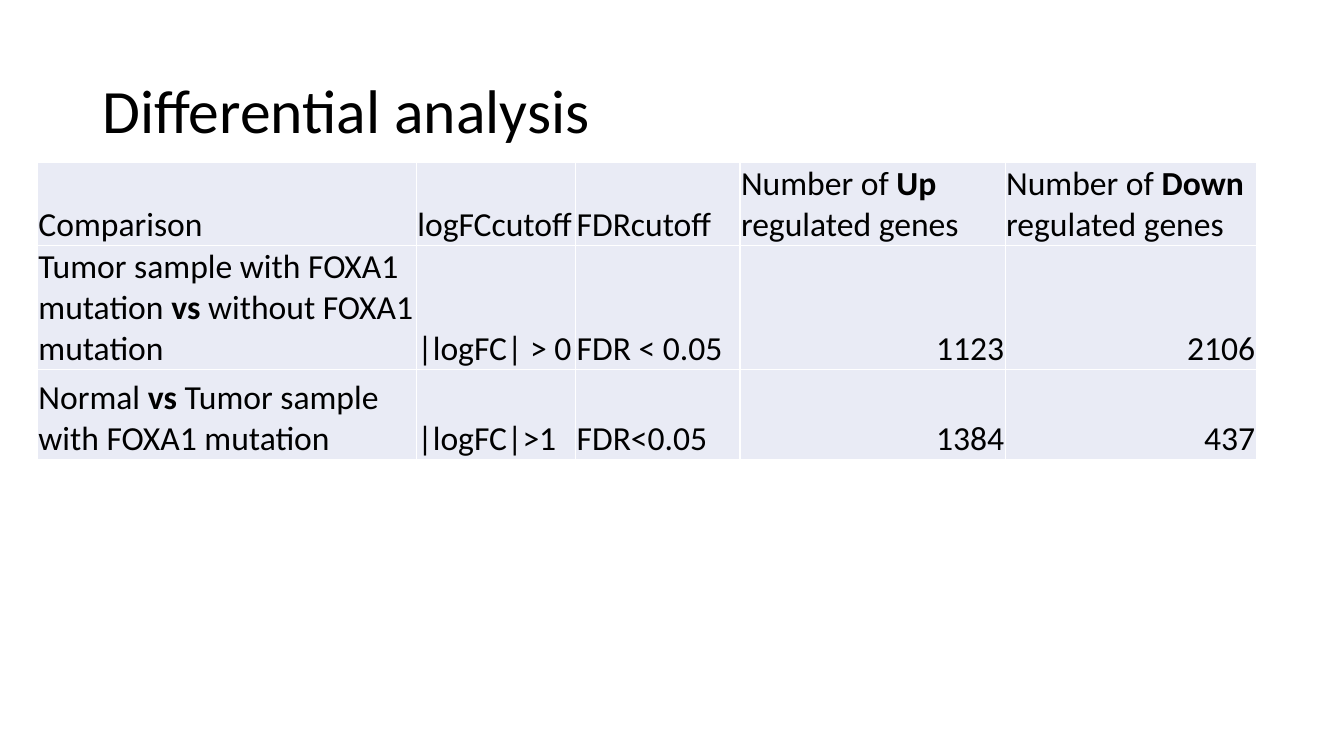
from dataclasses import dataclass

from lxml import etree
from pptx import Presentation
from pptx.dml.color import RGBColor
from pptx.enum.text import MSO_ANCHOR, MSO_AUTO_SIZE, PP_ALIGN
from pptx.oxml.ns import qn
from pptx.util import Pt

LEFT, RIGHT = PP_ALIGN.LEFT, PP_ALIGN.RIGHT
BOTTOM, MIDDLE = MSO_ANCHOR.BOTTOM, MSO_ANCHOR.MIDDLE
NO_AUTOFIT = MSO_AUTO_SIZE.NONE
TITLE_ONLY_LAYOUT = 5
BOLD_MARK = "**"


@dataclass(frozen=True)
class Theme:
    font: str = "Calibri"
    title_size: int = 44
    table_size: int = 24
    text: str = "000000"
    cell_fill: str = "E9EBF5"
    border: str = "FFFFFF"
    border_width: int = 1


@dataclass(frozen=True)
class Box:
    left: float
    top: float
    width: float
    height: float


@dataclass(frozen=True)
class Comparison:
    name: str
    fold_change_cutoff: str
    fdr_cutoff: str
    up_genes: int
    down_genes: int

    def values(self) -> list:
        return [self.name, self.fold_change_cutoff, self.fdr_cutoff,
                self.up_genes, self.down_genes]


THEME = Theme()
SLIDE_WIDTH, SLIDE_HEIGHT = 960, 540
TITLE_BOX = Box(66, 28.75, 828, 104.4)
TABLE_LEFT, TABLE_TOP = 26.8, 116
COLUMN_WIDTHS = [270.7, 113.8, 117.4, 189.4, 179.3]
ROW_HEIGHTS = [58.6, 87.9, 64.8]
CELL_FORMAT = {
    "vertical_anchor": BOTTOM,
    "margin_left": Pt(0.7),
    "margin_right": Pt(0.7),
    "margin_top": Pt(0.7),
    "margin_bottom": 0,
}

HEADINGS = ["Comparison", "logFCcutoff", "FDRcutoff",
            "Number of **Up** regulated genes",
            "Number of **Down** regulated genes"]
COMPARISONS = [
    Comparison("Tumor sample with FOXA1 mutation **vs** without FOXA1 mutation",
               "|logFC| > 0", "FDR < 0.05", 1123, 2106),
    Comparison("Normal **vs** Tumor sample with FOXA1 mutation",
               "|logFC|>1", "FDR<0.05", 1384, 437),
]


def apply_format(target, values: dict) -> None:
    for name, value in values.items():
        setattr(target, name, value)


def write_text(paragraph, text: str, size: int) -> None:
    """Write text as runs; parts between bold marks become bold."""
    for index, part in enumerate(text.split(BOLD_MARK)):
        run = paragraph.add_run()
        run.text = part
        apply_format(run.font, {"name": THEME.font, "size": Pt(size),
                                "bold": index % 2 == 1})
        run.font.color.rgb = RGBColor.from_string(THEME.text)


def set_borders(cell) -> None:
    properties = cell._tc.get_or_add_tcPr()
    for position, side in enumerate(("a:lnL", "a:lnR", "a:lnT", "a:lnB")):
        line = etree.Element(qn(side), w=str(Pt(THEME.border_width)))
        fill = etree.SubElement(line, qn("a:solidFill"))
        etree.SubElement(fill, qn("a:srgbClr"), val=THEME.border)
        properties.insert(position, line)


def draw_title(slide, text: str, box: Box) -> None:
    title = slide.shapes.title
    apply_format(title, {"left": Pt(box.left), "top": Pt(box.top),
                         "width": Pt(box.width), "height": Pt(box.height)})
    apply_format(title.text_frame, {"vertical_anchor": MIDDLE, "word_wrap": True,
                                    "auto_size": NO_AUTOFIT})
    paragraph = title.text_frame.paragraphs[0]
    apply_format(paragraph, {"alignment": LEFT, "line_spacing": 0.9})
    write_text(paragraph, text, THEME.title_size)


def draw_cell(cell, value) -> None:
    apply_format(cell, CELL_FORMAT)
    cell.fill.solid()
    cell.fill.fore_color.rgb = RGBColor.from_string(THEME.cell_fill)
    set_borders(cell)
    paragraph = cell.text_frame.paragraphs[0]
    paragraph.alignment = RIGHT if isinstance(value, int) else LEFT
    write_text(paragraph, str(value), THEME.table_size)


def draw_table(slide, rows: list) -> None:
    table = slide.shapes.add_table(
        len(rows), len(COLUMN_WIDTHS), Pt(TABLE_LEFT), Pt(TABLE_TOP),
        Pt(sum(COLUMN_WIDTHS)), Pt(sum(ROW_HEIGHTS))).table
    apply_format(table, {"first_row": False, "horz_banding": False})
    for column, width in zip(table.columns, COLUMN_WIDTHS):
        column.width = Pt(width)
    for row, height, values in zip(table.rows, ROW_HEIGHTS, rows):
        row.height = Pt(height)
        for cell, value in zip(row.cells, values):
            draw_cell(cell, value)


def main() -> None:
    presentation = Presentation()
    apply_format(presentation, {"slide_width": Pt(SLIDE_WIDTH),
                                "slide_height": Pt(SLIDE_HEIGHT)})
    slide = presentation.slides.add_slide(
        presentation.slide_layouts[TITLE_ONLY_LAYOUT])

    # Title
    draw_title(slide, "Differential analysis", TITLE_BOX)

    # Table of gene counts per comparison
    draw_table(slide, [HEADINGS] + [item.values() for item in COMPARISONS])

    presentation.save("out.pptx")


if __name__ == "__main__":
    main()
